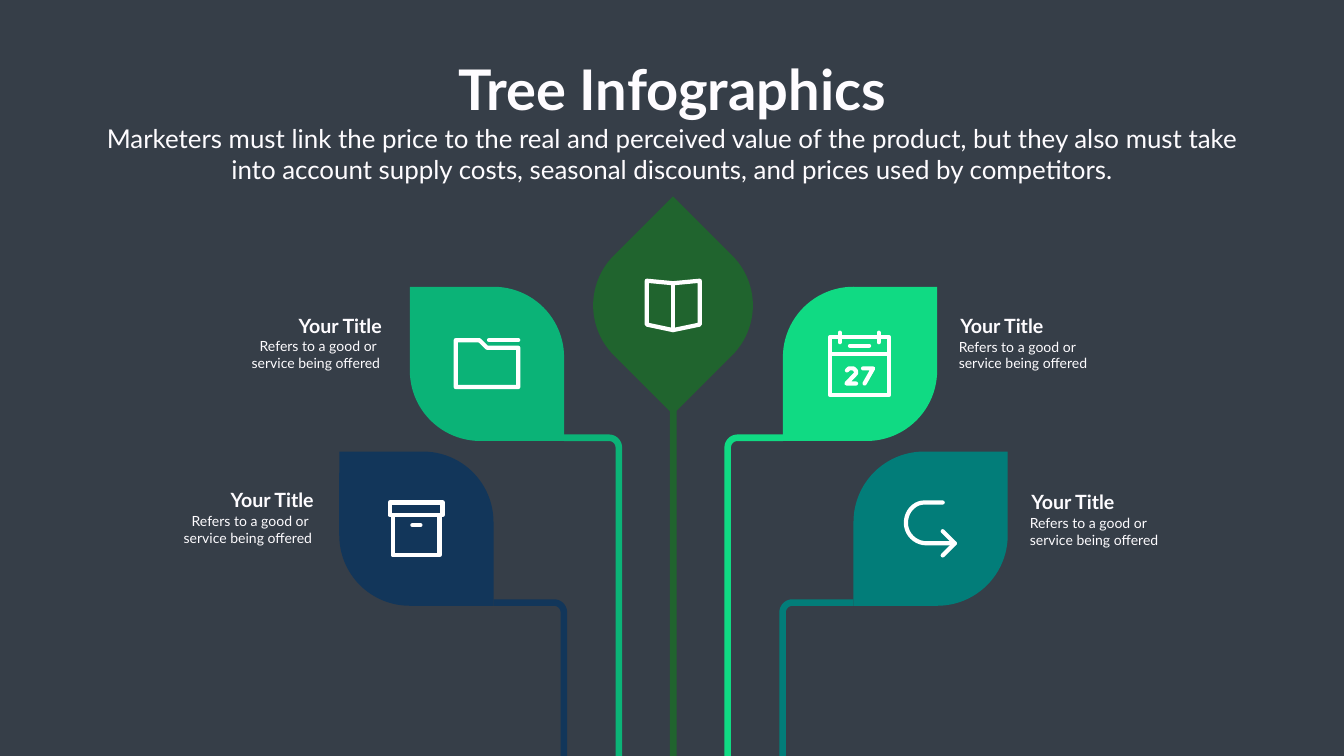
from dataclasses import dataclass
from math import dist

from lxml import etree
from pptx import Presentation
from pptx.dml.color import RGBColor
from pptx.enum.shapes import MSO_CONNECTOR, MSO_SHAPE
from pptx.enum.text import MSO_AUTO_SIZE, PP_ALIGN
from pptx.oxml.ns import qn
from pptx.util import Pt

LEAF, RECT = MSO_SHAPE.ROUND_2_DIAG_RECTANGLE, MSO_SHAPE.RECTANGLE
LINE = MSO_CONNECTOR.STRAIGHT
LEFT, MID, RIGHT = PP_ALIGN.LEFT, PP_ALIGN.CENTER, PP_ALIGN.RIGHT
FIT = MSO_AUTO_SIZE.SHAPE_TO_FIT_TEXT

PX = 9144
WIDE, HIGH = 2666, 1500
SIDE, CURVE = 306, 0.457
STEM, BEND = 13, 26
KAPPA, STEPS = 0.55, 10
STROKE = 6
FONT = "Lato"
COLORS = {
    "back": "363E48", "text": "FEFCFF", "icon": "FFFFFF", "lime": "10DA83",
    "tree": "20642E", "teal": "027D79", "mint": "0BB377", "navy": "12365A",
}

Path = list[tuple[float, ...]]


@dataclass
class Branch:
    color: str
    x: int
    y: int
    stem: int
    edge: int
    top: int
    left: bool


@dataclass
class Icon:
    x: int
    y: int
    boxes: list[tuple[int, ...]]
    lines: list[tuple[int, ...]]
    loops: list[Path]
    bends: list[Path]


BRANCHES = [
    Branch("mint", 813, 569, 1234, 767, 617, True),
    Branch("navy", 673, 896, 1125, 632, 964, True),
    Branch("lime", 1553, 569, 1437, 1895, 618, False),
    Branch("teal", 1693, 896, 1546, 2036, 968, False),
]

FOLDER = Icon(904, 675, [], [(66, 0, 124, 0)], [
    [(0, 0), (47, 0), (62, 15), (124, 15), (124, 93), (0, 93)]], [])
CRATE = Icon(773, 997, [(0, 0, 105, 25), (6, 25, 93, 80)],
             [(45, 45, 61, 45)], [], [])
BOOK = Icon(1283, 557, [], [(52, 5, 52, 98)], [
    [(0, 0), (52, 5), (105, 0), (105, 87), (52, 98), (0, 87)]], [])
DATES = Icon(
    1647, 669, [(0, 0, 116, 115)],
    [(0, 34, 116, 34), (39, 17, 77, 17)]
    + [(peg, -9, peg, 10) for peg in (19, 96)], [],
    [[(33, 66), (37, 62), (46, 62), (51, 67), (51, 72), (32, 92), (51, 92)],
     [(65, 62), (85, 62), (68, 92)]])
ARROW = Icon(1797, 997, [], [], [], [
    [(73, 0), (0, 0, 41), (0, 81, 41), (97, 81)],
    [(73, 57), (97, 81), (73, 105)]])


def blend(a: tuple, b: tuple, t: float) -> tuple[float, float]:
    return a[0] + (b[0] - a[0]) * t, a[1] + (b[1] - a[1]) * t


def smooth(path: Path) -> Path:
    out = []
    for i, (x, y, *rest) in enumerate(path):
        spot = (x, y)
        if not rest:
            out.append(spot)
            continue
        a, d = [blend(spot, near, min(rest[0] / dist(spot, near), 0.5))
                for near in (path[i - 1][:2], path[i + 1][:2])]
        b, c = blend(a, spot, KAPPA), blend(d, spot, KAPPA)
        for step in range(STEPS + 1):
            t = step / STEPS
            ab, bc, cd = blend(a, b, t), blend(b, c, t), blend(c, d, t)
            out.append(blend(blend(ab, bc, t), blend(bc, cd, t), t))
    return out


def trace(slide, path: Path, x: int = 0, y: int = 0, close: bool = True):
    dots = [((x + px) * PX, (y + py) * PX) for px, py in smooth(path)]
    pen = slide.shapes.build_freeform(*dots[0], scale=1.0)
    pen.add_line_segments(dots[1:], close=close)
    return pen.convert_to_shape()


def paint(shape, color: str) -> None:
    shape.shadow.inherit = False
    shape.fill.solid()
    shape.fill.fore_color.rgb = RGBColor.from_string(COLORS[color])
    shape.line.fill.background()


def stroke(shape) -> None:
    shape.line.width = Pt(STROKE)
    shape.line.color.rgb = RGBColor.from_string(COLORS["icon"])
    pen = shape.line._get_or_add_ln()
    pen.set("cap", "rnd")
    etree.SubElement(pen, qn("a:round"))


def hollow(shape) -> None:
    shape.shadow.inherit = False
    shape.fill.background()
    stroke(shape)


def sketch(slide, icon: Icon) -> None:
    for x, y, w, h in icon.boxes:
        hollow(slide.shapes.add_shape(
            RECT, (icon.x + x) * PX, (icon.y + y) * PX, w * PX, h * PX))
    for x, y, to_x, to_y in icon.lines:
        line = slide.shapes.add_connector(
            LINE, (icon.x + x) * PX, (icon.y + y) * PX,
            (icon.x + to_x) * PX, (icon.y + to_y) * PX)
        stroke(line)
        etree.SubElement(line._element.spPr, qn("a:effectLst"))
    for path in icon.loops:
        hollow(trace(slide, path, icon.x, icon.y))
    for path in icon.bends:
        hollow(trace(slide, path, icon.x, icon.y, close=False))


def leaf(slide, x: int, y: int, color: str, left: bool, turn: int = 0) -> None:
    shape = slide.shapes.add_shape(LEAF, x * PX, y * PX, SIDE * PX, SIDE * PX)
    shape.adjustments[0] = 0 if left else CURVE
    shape.adjustments[1] = CURVE if left else 0
    shape.rotation = turn
    paint(shape, color)


def stem(slide, item: Branch) -> None:
    start = item.x + SIDE if item.left else item.x
    inner = item.stem - STEM if item.left else item.stem + STEM
    low = item.y + SIDE
    top = low - STEM
    path = [(start, top), (item.stem, top, BEND), (item.stem, HIGH),
            (inner, HIGH), (inner, low, STEM), (start, low)]
    paint(trace(slide, path), item.color)


def trunk(slide, x: int, y: int) -> None:
    paint(slide.shapes.add_shape(
        RECT, x * PX, y * PX, STEM * PX, (HIGH - y) * PX), "tree")


def write(slide, text: str, *, x: int, y: int, w: int, h: int, size: int,
          bold: bool = False, align=MID, wrap: bool = True) -> None:
    frame = slide.shapes.add_textbox(x * PX, y * PX, w * PX, h * PX).text_frame
    frame.word_wrap = wrap
    frame.auto_size = FIT
    frame.text = text
    for para in frame.paragraphs:
        para.alignment = align
        font = para.font
        font.name, font.size, font.bold = FONT, Pt(size), bold
        font.color.rgb = RGBColor.from_string(COLORS["text"])


def label(slide, item: Branch) -> None:
    align, gap = (RIGHT, " ") if item.left else (LEFT, "")
    head, body = 192, 283
    write(slide, "Your Title", x=item.edge - head * item.left, y=item.top,
          w=head, h=57, size=28, bold=True, align=align)
    write(slide, f"Refers to a good or{gap}\nservice being offered",
          x=item.edge - 3 - body * item.left, y=item.top + 48,
          w=body, h=77, size=20, align=align)


def main() -> None:
    deck = Presentation()
    deck.slide_width, deck.slide_height = WIDE * PX, HIGH * PX
    slide = deck.slides.add_slide(deck.slide_layouts[6])
    fill = slide.background.fill
    fill.solid()
    fill.fore_color.rgb = RGBColor.from_string(COLORS["back"])

    leaf(slide, 1182, 453, "tree", True, 45)
    trunk(slide, 1329, 795)
    for item in BRANCHES:
        leaf(slide, item.x, item.y, item.color, item.left)
        stem(slide, item)
    for icon in (FOLDER, CRATE, BOOK, DATES, ARROW):
        sketch(slide, icon)
    write(slide, "Marketers must link the price to the real and perceived value "
          "of the product, but they also must take into account supply costs, "
          "seasonal discounts, and prices used by competitors.",
          x=184, y=239, w=2298, h=135, size=37)
    for item in BRANCHES:
        label(slide, item)
    write(slide, "Tree Infographics", x=889, y=103, w=889, h=145, size=80,
          bold=True, wrap=False)
    deck.save("out.pptx")


if __name__ == "__main__":
    main()
